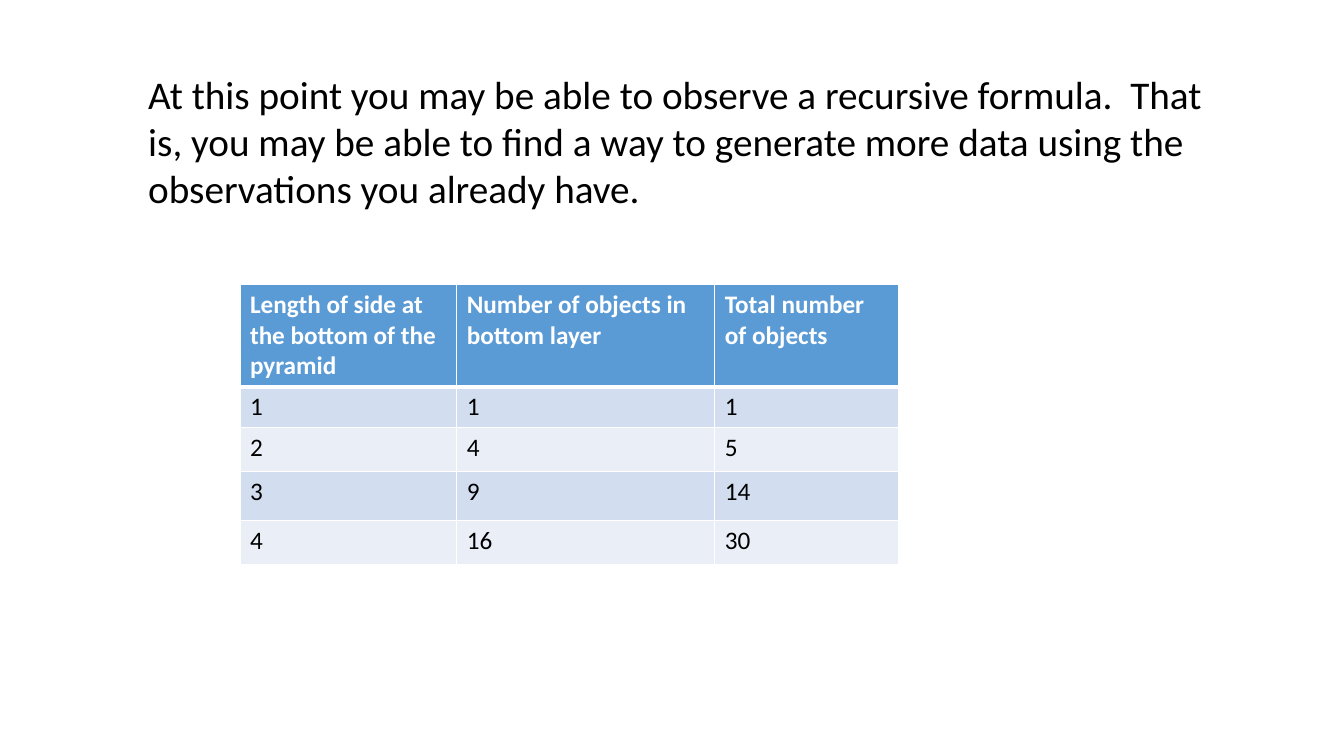
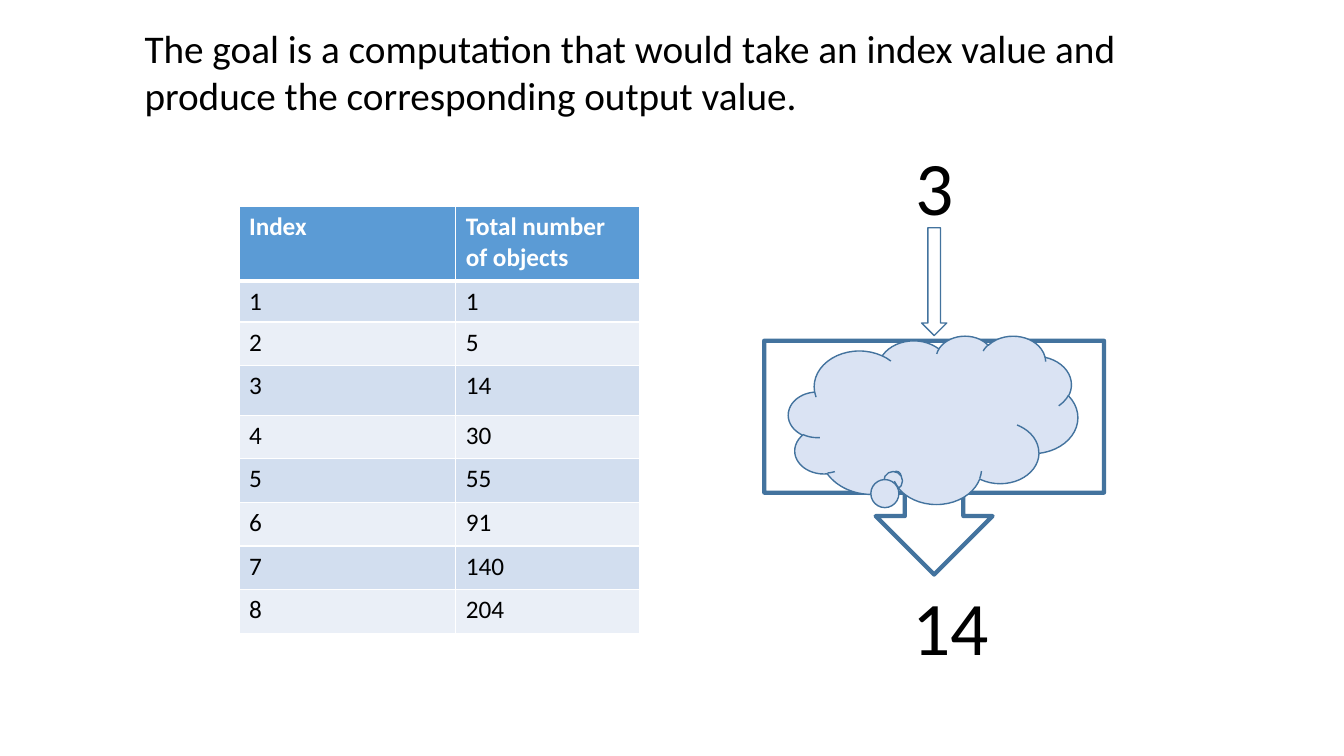
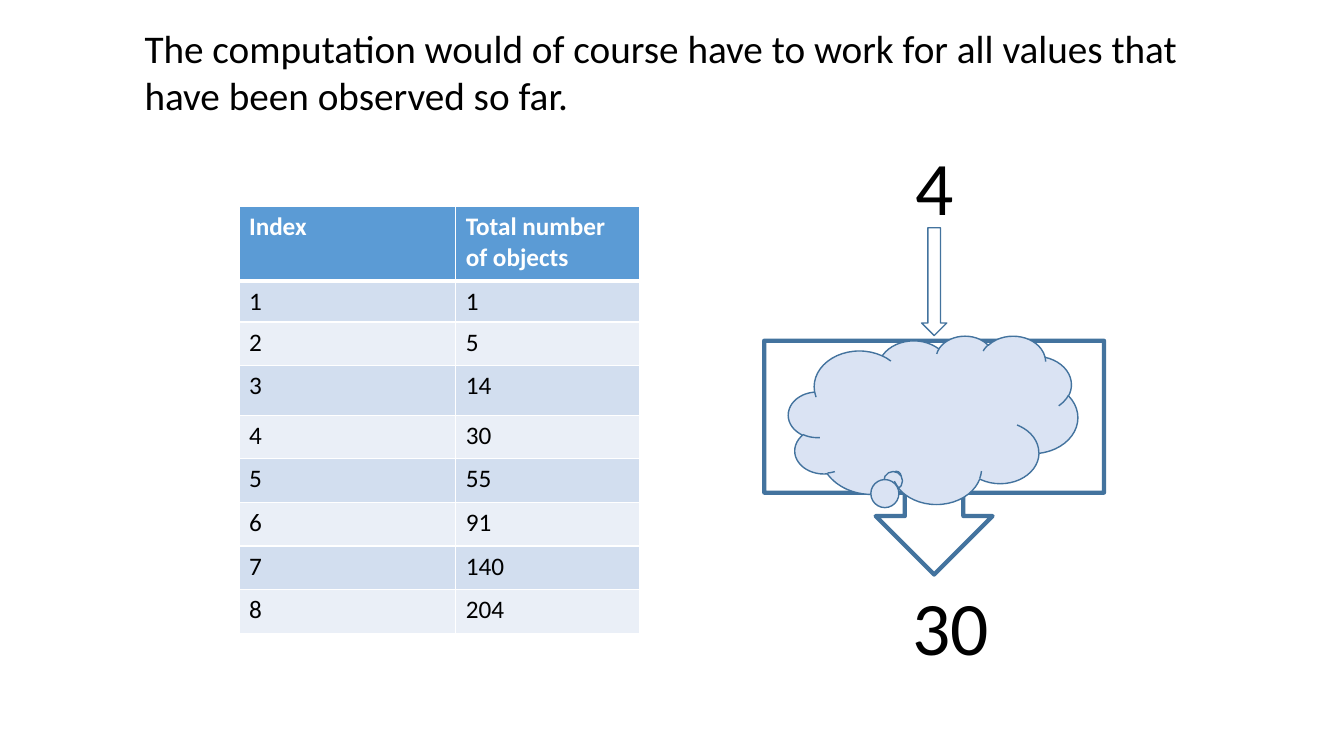
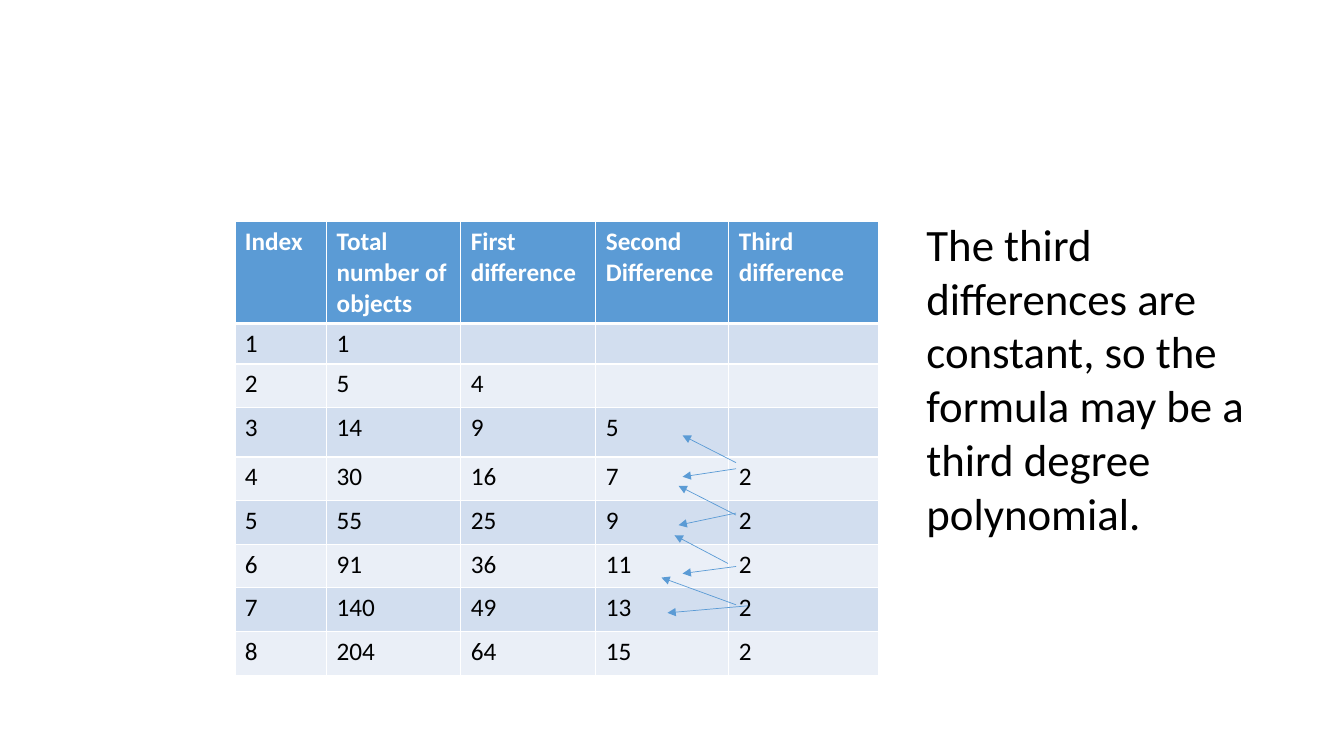
from dataclasses import dataclass
from itertools import accumulate
from typing import Optional

import pptx
import pptx.dml.color
import pptx.enum.shapes
import pptx.enum.text
import pptx.oxml.ns
import pptx.util
from lxml import etree

RGBColor = pptx.dml.color.RGBColor
Shape = pptx.enum.shapes.MSO_SHAPE

# Colours and type
BLACK = RGBColor(0x00, 0x00, 0x00)
WHITE = RGBColor(0xFF, 0xFF, 0xFF)
BLUE = RGBColor(0x5B, 0x9B, 0xD5)
DARK_BLUE = RGBColor(0x43, 0x73, 0x9E)
CLOUD_BLUE = RGBColor(0xDA, 0xE3, 0xF3)
BANDS = (RGBColor(0xD2, 0xDE, 0xEF), RGBColor(0xEA, 0xEF, 0xF7))
FONT = "Calibri"
TITLE_SIZE, NOTE_SIZE, NUMBER_SIZE, CELL_SIZE = 28, 32, 54, 18

# The slide is a grid of 80 columns by 45 rows of square units
SLIDE_WIDTH, SLIDE_HEIGHT = pptx.util.Inches(13.33), pptx.util.Inches(7.5)
GRID_ROWS = 45
TITLE_ONLY, BLANK = 5, 6

# Table row heights in grid rows
ROW_HEIGHT = 2.6
SPECIAL_HEIGHTS = {1: 2.4, 3: 2.94}
TWO_LINES, THREE_LINES = 4.44, 6.06


@dataclass(frozen=True)
class Area:
    left: float
    top: float
    width: float
    height: float

    def lengths(self) -> tuple:
        return tuple(map(grid, (self.left, self.top, self.width, self.height)))


@dataclass(frozen=True)
class Grid_Table:
    left: float
    top: float
    columns: tuple
    header_height: float
    header: tuple
    rows: list


@dataclass(frozen=True)
class Figure:
    kind: int
    area: Area
    line_width: float
    fill: Optional[RGBColor] = None
    adjustments: tuple = ()


@dataclass(frozen=True)
class Arrow:
    start: tuple
    end: tuple


@dataclass(frozen=True)
class Machine:
    title: str
    index: int


# Number of objects: squares, their running totals and the differences
INDEXES = range(1, 9)
SQUARES = [index ** 2 for index in INDEXES]
TOTALS = list(accumulate(SQUARES))


def differences(values: list) -> list:
    """Differences of neighbours, with None where there is no earlier value."""
    pairs = zip([None] + values[:-1], values)
    return [None if before is None else value - before for before, value in pairs]


FIRST = differences(TOTALS)
SECOND = differences(FIRST)
THIRD = differences(SECOND)

# Tables
LAYER_TABLE = Grid_Table(
    14.28, 16.92, (12.9, 15.36, 10.92), THREE_LINES,
    ("Length of side at the bottom of the pyramid",
     "Number of objects in bottom layer", "Total number of objects"),
    list(zip(INDEXES, SQUARES, TOTALS))[:4])
TOTAL_TABLE = Grid_Table(
    14.22, 12.3, (12.9, 10.92), TWO_LINES,
    ("Index", "Total number of objects"), list(zip(INDEXES, TOTALS)))
DIFFERENCE_TABLE = Grid_Table(
    13.98, 13.2, (5.46, 7.98, 8.04, 7.92, 8.94), THREE_LINES,
    ("Index", "Total number of objects", "First difference",
     "Second Difference", "Third difference"),
    list(zip(INDEXES, TOTALS, FIRST, SECOND, THIRD)))

# Text areas
RECURSIVE_TITLE = Area(8.22, 3.9, 64, 9.06)
MACHINE_TITLE = Area(8, 1.14, 64, 6.24)
INPUT_AREA = Area(53.88, 8.04, 3.42, 6.06)
OUTPUT_AREA = Area(53.7, 34.2, 7.62, 6.06)
NOTE_AREA = Area(54.54, 12.6, 20.22, 19.98)

# Parts of the machine, from back to front
MACHINE_FIGURES = (
    Figure(Shape.DOWN_ARROW_CALLOUT, Area(45.48, 20.28, 20.22, 13.92), 3),
    Figure(Shape.DOWN_ARROW, Area(54.84, 13.56, 1.5, 6.42), 1),
    Figure(Shape.CLOUD_CALLOUT, Area(46.92, 19.98, 17.22, 10.02), 1,
           CLOUD_BLUE, (-0.127, 0.334)),
)
MACHINES = (
    Machine("The goal is a computation that would take an index value and "
            "produce the corresponding output value.", 3),
    Machine("The computation would of course have to work for all values that "
            "have been observed so far.", 4),
)

# Arrows from third differences to the second differences behind them
ARROWS = (
    Arrow((43.8, 27.54), (40.62, 25.92)),
    Arrow((43.8, 27.9), (40.62, 28.38)),
    Arrow((43.8, 30.66), (40.38, 28.92)),
    Arrow((43.8, 30.54), (40.38, 31.26)),
    Arrow((43.32, 33.54), (40.14, 31.86)),
    Arrow((43.8, 33.72), (40.62, 34.14)),
    Arrow((43.8, 36), (39.36, 34.38)),
    Arrow((44.52, 36.06), (39.72, 36.48)),
)


def grid(units: float) -> int:
    return round(units * SLIDE_HEIGHT / GRID_ROWS)


def add_element(parent, tag: str, **attributes: str):
    return etree.SubElement(parent, pptx.oxml.ns.qn(tag), attributes)


def write(frame, text: str, size: float, color: RGBColor = BLACK,
          bold: bool = False) -> None:
    frame.text = text
    paragraph = frame.paragraphs[0]
    paragraph.alignment = pptx.enum.text.PP_ALIGN.LEFT
    font = paragraph.font
    font.name, font.size, font.bold = FONT, pptx.util.Pt(size), bold
    font.color.rgb = color


def add_titled_page(deck, title: str, area: Area):
    page = deck.slides.add_slide(deck.slide_layouts[TITLE_ONLY])
    box = page.shapes.title
    box.left, box.top, box.width, box.height = area.lengths()
    frame = box.text_frame
    frame.word_wrap = True
    frame.auto_size = pptx.enum.text.MSO_AUTO_SIZE.NONE
    frame.vertical_anchor = pptx.enum.text.MSO_ANCHOR.TOP
    write(frame, title, TITLE_SIZE)
    return page


def add_text(page, text: str, area: Area, size: float) -> None:
    frame = page.shapes.add_textbox(*area.lengths()).text_frame
    frame.word_wrap = True
    frame.auto_size = pptx.enum.text.MSO_AUTO_SIZE.SHAPE_TO_FIT_TEXT
    write(frame, text, size)


def set_borders(cell, widths: dict) -> None:
    """Add white borders ahead of the fill, as the schema orders them."""
    properties = cell._tc.get_or_add_tcPr()
    for position, (side, width) in enumerate(widths.items()):
        line = add_element(properties, f"a:{side}", w=str(pptx.util.Pt(width)))
        fill = add_element(line, "a:solidFill")
        add_element(fill, "a:srgbClr", val=str(WHITE))
        properties.insert(position, line)


def add_grid_table(page, data: Grid_Table) -> None:
    rows = [data.header, *data.rows]
    heights = [data.header_height] + [
        SPECIAL_HEIGHTS.get(number, ROW_HEIGHT) for number in range(1, len(rows))]
    area = Area(data.left, data.top, sum(data.columns), sum(heights))
    table = page.shapes.add_table(
        len(rows), len(data.columns), *area.lengths()).table
    table.horz_banding = False
    for column, width in zip(table.columns, data.columns):
        column.width = grid(width)
    for number, (values, height) in enumerate(zip(rows, heights)):
        table.rows[number].height = grid(height)
        is_header = number == 0
        for position, value in enumerate(values):
            cell = table.cell(number, position)
            cell.fill.solid()
            cell.fill.fore_color.rgb = BLUE if is_header else BANDS[(number - 1) % 2]
            set_borders(cell, {"lnL": 1, "lnR": 1, "lnT": 3 if number == 1 else 1,
                               "lnB": 3 if is_header else 1})
            write(cell.text_frame, "" if value is None else str(value), CELL_SIZE,
                  WHITE if is_header else BLACK, is_header)


def add_figure(page, figure: Figure) -> None:
    shape = page.shapes.add_shape(figure.kind, *figure.area.lengths())
    shape.shadow.inherit = False
    for position, value in enumerate(figure.adjustments):
        shape.adjustments[position] = value
    if figure.fill is None:
        shape.fill.background()
    else:
        shape.fill.solid()
        shape.fill.fore_color.rgb = figure.fill
    shape.line.color.rgb = DARK_BLUE
    shape.line.width = pptx.util.Pt(figure.line_width)


def add_arrow(page, arrow: Arrow) -> None:
    connector = page.shapes.add_connector(
        pptx.enum.shapes.MSO_CONNECTOR.STRAIGHT,
        *map(grid, arrow.start + arrow.end))
    connector.line.color.rgb = BLUE
    connector.line.width = pptx.util.Pt(0.5)
    add_element(connector.line._get_or_add_ln(), "a:tailEnd", type="triangle")
    add_element(connector._element.spPr, "a:effectLst")


def add_machine_page(deck, machine: Machine) -> None:
    page = add_titled_page(deck, machine.title, MACHINE_TITLE)
    add_grid_table(page, TOTAL_TABLE)
    for figure in MACHINE_FIGURES:
        add_figure(page, figure)
    add_text(page, str(machine.index), INPUT_AREA, NUMBER_SIZE)
    add_text(page, str(TOTALS[machine.index - 1]), OUTPUT_AREA, NUMBER_SIZE)


def main() -> None:
    deck = pptx.Presentation()
    deck.slide_width, deck.slide_height = SLIDE_WIDTH, SLIDE_HEIGHT

    # Recursive formula
    page = add_titled_page(
        deck, "At this point you may be able to observe a recursive formula.  "
        "That is, you may be able to find a way to generate more data using the "
        "observations you already have.", RECURSIVE_TITLE)
    add_grid_table(page, LAYER_TABLE)

    # From index to output
    for machine in MACHINES:
        add_machine_page(deck, machine)

    # Differences
    page = deck.slides.add_slide(deck.slide_layouts[BLANK])
    add_grid_table(page, DIFFERENCE_TABLE)
    for arrow in ARROWS:
        add_arrow(page, arrow)
    add_text(page, "The third differences are constant, so the formula may be a "
             "third degree polynomial.", NOTE_AREA, NOTE_SIZE)

    deck.save("out.pptx")


if __name__ == "__main__":
    main()
